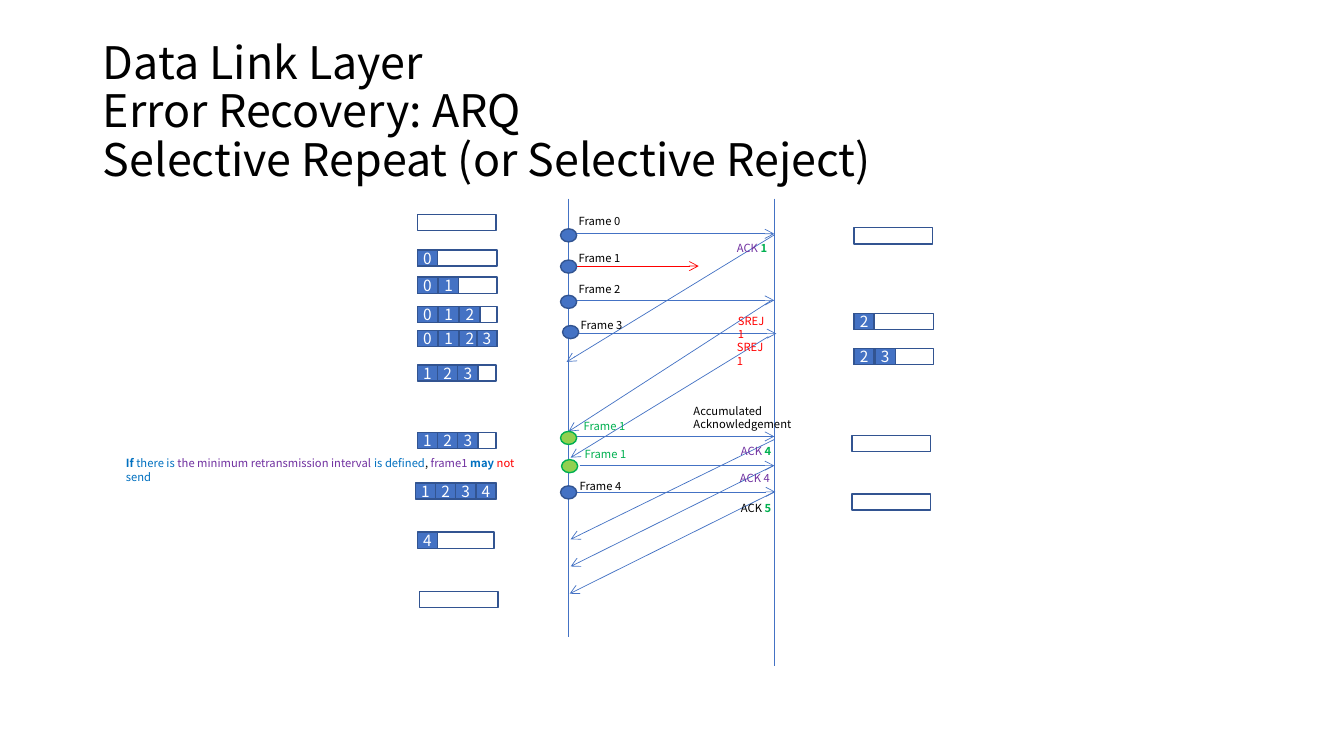
"""Build the Selective Repeat ARQ sequence diagram slide."""
from dataclasses import dataclass
from typing import Optional

import lxml.etree
import pptx
import pptx.dml.color
import pptx.enum.shapes
import pptx.enum.text
import pptx.oxml.ns
import pptx.util

Inches = pptx.util.Inches


@dataclass(frozen=True)
class Theme:
    font: str = "Noto Sans CJK KR"
    title_size: float = 32
    label_size: float = 8
    cell_size: float = 11
    line_width: float = 0.5
    outline_width: float = 1
    black: str = "000000"
    white: str = "FFFFFF"
    blue: str = "4472C4"
    navy: str = "325491"
    sky: str = "0070C0"
    red: str = "FF0000"
    purple: str = "7030A0"
    green: str = "00B050"
    lime: str = "92D050"


THEME = Theme()


@dataclass(frozen=True)
class Line:
    x1: float
    y1: float
    x2: float
    y2: float
    color: str = THEME.blue
    arrow: bool = True


@dataclass(frozen=True)
class Dot:
    left: float
    top: float
    fill: str = THEME.blue
    outline: str = THEME.navy


@dataclass(frozen=True)
class Run:
    text: str
    color: str = THEME.black
    bold: bool = False


@dataclass(frozen=True)
class Label:
    left: float
    top: float
    width: float
    runs: tuple[Run, ...]


@dataclass(frozen=True)
class Buffer:
    left: float
    top: float
    width: float
    frames: str = ""
    pitch: float = 0.21
    outdent: float = 0


FRAME_WIDTH, ACK_WIDTH, LABEL_HEIGHT = 0.62, 0.52, 0.24
CELL_WIDTH, CELL_HEIGHT = 0.2, 0.16
DOT_WIDTH, DOT_HEIGHT = 0.16, 0.13

LINES = [
    Line(5.64, 1.97, 5.64, 6.32, arrow=False),
    Line(7.68, 1.97, 7.68, 6.61, arrow=False),
    Line(5.64, 2.32, 7.68, 2.32),
    Line(5.62, 2.64, 6.93, 2.64, THEME.red),
    Line(5.63, 2.98, 7.68, 2.98),
    Line(5.65, 3.31, 7.7, 3.31),
    Line(5.64, 4.33, 7.68, 4.33),
    Line(5.75, 4.62, 7.68, 4.62),
    Line(5.65, 4.88, 7.69, 4.88),
    Line(7.68, 2.33, 5.62, 3.59),
    Line(7.65, 2.98, 5.64, 4.28),
    Line(7.62, 3.34, 5.66, 4.54),
    Line(7.68, 4.36, 5.66, 5.35),
    Line(7.67, 4.62, 5.66, 5.62),
    Line(7.68, 4.88, 5.65, 5.89),
]

DOTS = [
    Dot(5.56, 2.27),
    Dot(5.56, 2.58),
    Dot(5.56, 2.93),
    Dot(5.58, 3.23),
    Dot(5.56, 4.28, THEME.lime, THEME.green),
    Dot(5.57, 4.56, THEME.lime, THEME.green),
    Dot(5.56, 4.82),
]

LABELS = [
    Label(5.64, 2.08, FRAME_WIDTH, (Run("Frame 0"),)),
    Label(5.64, 2.44, FRAME_WIDTH, (Run("Frame 1"),)),
    Label(5.64, 2.75, FRAME_WIDTH, (Run("Frame 2"),)),
    Label(5.66, 3.11, FRAME_WIDTH, (Run("Frame 3"),)),
    Label(5.69, 4.11, FRAME_WIDTH, (Run("Frame 1", THEME.green),)),
    Label(5.7, 4.39, FRAME_WIDTH, (Run("Frame 1", THEME.green),)),
    Label(5.65, 4.71, FRAME_WIDTH, (Run("Frame 4"),)),
    Label(7.21, 2.34, ACK_WIDTH, (Run("ACK ", THEME.purple), Run("1", THEME.green, True))),
    Label(7.22, 3.07, 0.53, (Run("SREJ 1", THEME.red),)),
    Label(7.21, 3.33, 0.53, (Run("SREJ 1", THEME.red),)),
    Label(7.25, 4.36, ACK_WIDTH, (Run("ACK ", THEME.purple), Run("4", THEME.green, True))),
    Label(7.24, 4.63, ACK_WIDTH, (Run("ACK 4", THEME.purple),)),
    Label(7.25, 4.92, ACK_WIDTH, (Run("ACK "), Run("5", THEME.green, True))),
    Label(6.78, 3.96, 1.84, (Run("Accumulated Acknowledgement"),)),
    Label(1.15, 4.48, 4.3, (
        Run("If ", THEME.sky, True), Run("there is ", THEME.sky),
        Run("the minimum retransmission interval ", THEME.purple),
        Run("is defined", THEME.sky), Run(", "), Run("frame1 ", THEME.purple),
        Run("may ", THEME.sky, True), Run("not", THEME.red), Run(" send", THEME.sky))),
]

BUFFERS = [
    Buffer(4.14, 2.13, 0.78),
    Buffer(4.14, 2.48, 0.79, "0"),
    Buffer(4.14, 2.75, 0.79, "01"),
    Buffer(4.14, 3.04, 0.79, "012"),
    Buffer(4.14, 3.28, 0.79, "0123"),
    Buffer(4.17, 3.62, 0.75, "123", 0.2, 0.03),
    Buffer(4.17, 4.29, 0.75, "123", 0.2, 0.03),
    Buffer(4.14, 4.79, 0.78, "1234", 0.2, 0.02),
    Buffer(4.15, 5.28, 0.75, "4", 0.2, 0.01),
    Buffer(4.16, 5.87, 0.78),
    Buffer(8.47, 2.26, 0.78),
    Buffer(8.47, 3.11, 0.79, "2"),
    Buffer(8.47, 3.46, 0.79, "23"),
    Buffer(8.45, 4.32, 0.78),
    Buffer(8.45, 4.9, 0.78),
]


def rgb(color: str) -> pptx.dml.color.RGBColor:
    return pptx.dml.color.RGBColor.from_string(color)


def add_run(paragraph, run: Run, size: float) -> None:
    text_run = paragraph.add_run()
    text_run.text = run.text
    text_run.font.name = THEME.font
    text_run.font.size = pptx.util.Pt(size)
    text_run.font.bold = run.bold
    text_run.font.color.rgb = rgb(run.color)


def add_line(slide, line: Line) -> None:
    connector = slide.shapes.add_connector(
        pptx.enum.shapes.MSO_CONNECTOR.STRAIGHT,
        Inches(line.x1), Inches(line.y1), Inches(line.x2), Inches(line.y2))
    connector.line.color.rgb = rgb(line.color)
    connector.line.width = pptx.util.Pt(THEME.line_width)
    if line.arrow:
        outline = connector.line._get_or_add_ln()
        lxml.etree.SubElement(outline, pptx.oxml.ns.qn("a:tailEnd"), type="arrow")
    lxml.etree.SubElement(connector._element.spPr, pptx.oxml.ns.qn("a:effectLst"))


def add_box(slide, kind, left: float, top: float, width: float, height: float,
            fill: Optional[str], outline: str = THEME.navy):
    shape = slide.shapes.add_shape(
        kind, Inches(left), Inches(top), Inches(width), Inches(height))
    shape.shadow.inherit = False
    if fill:
        shape.fill.solid()
        shape.fill.fore_color.rgb = rgb(fill)
    else:
        shape.fill.background()
    shape.line.color.rgb = rgb(outline)
    shape.line.width = pptx.util.Pt(THEME.outline_width)
    return shape


def add_buffer(slide, buffer: Buffer) -> None:
    rectangle = pptx.enum.shapes.MSO_SHAPE.RECTANGLE
    add_box(slide, rectangle, buffer.left, buffer.top, buffer.width, CELL_HEIGHT, None)
    last_left = buffer.left + buffer.width - CELL_WIDTH
    for index, number in enumerate(buffer.frames):
        left = min(buffer.left - buffer.outdent + index * buffer.pitch, last_left)
        cell = add_box(slide, rectangle, left, buffer.top, CELL_WIDTH, CELL_HEIGHT, THEME.blue)
        frame = cell.text_frame
        frame.margin_left = frame.margin_right = frame.margin_top = frame.margin_bottom = 0
        frame.word_wrap = False
        frame.vertical_anchor = pptx.enum.text.MSO_ANCHOR.MIDDLE
        frame.paragraphs[0].alignment = pptx.enum.text.PP_ALIGN.CENTER
        add_run(frame.paragraphs[0], Run(number, THEME.white), THEME.cell_size)


def add_label(slide, label: Label) -> None:
    box = slide.shapes.add_textbox(
        Inches(label.left), Inches(label.top), Inches(label.width), Inches(LABEL_HEIGHT))
    box.text_frame.word_wrap = True
    box.text_frame.auto_size = pptx.enum.text.MSO_AUTO_SIZE.SHAPE_TO_FIT_TEXT
    for run in label.runs:
        add_run(box.text_frame.paragraphs[0], run, THEME.label_size)


def set_title(slide, lines: list[str]) -> None:
    title = slide.shapes.title
    title.left, title.top = Inches(0.92), Inches(0.4)
    title.width, title.height = Inches(11.5), Inches(1.45)
    title.text_frame.vertical_anchor = pptx.enum.text.MSO_ANCHOR.MIDDLE
    title.text_frame.auto_size = pptx.enum.text.MSO_AUTO_SIZE.NONE
    paragraph = title.text_frame.paragraphs[0]
    paragraph.alignment = pptx.enum.text.PP_ALIGN.LEFT
    paragraph.line_spacing = 0.9
    for index, line in enumerate(lines):
        if index:
            paragraph.add_line_break()
        add_run(paragraph, Run(line), THEME.title_size)


def main() -> None:
    presentation = pptx.Presentation()
    presentation.slide_width, presentation.slide_height = Inches(13.33), Inches(7.5)
    slide = presentation.slides.add_slide(presentation.slide_layouts[5])
    set_title(slide, ["Data Link Layer", "Error Recovery: ARQ",
                      "Selective Repeat (or Selective Reject)"])
    for line in LINES:
        add_line(slide, line)
    for dot in DOTS:
        add_box(slide, pptx.enum.shapes.MSO_SHAPE.OVAL, dot.left, dot.top,
                DOT_WIDTH, DOT_HEIGHT, dot.fill, dot.outline)
    for label in LABELS:
        add_label(slide, label)
    for buffer in BUFFERS:
        add_buffer(slide, buffer)
    presentation.save("out.pptx")


if __name__ == "__main__":
    main()
